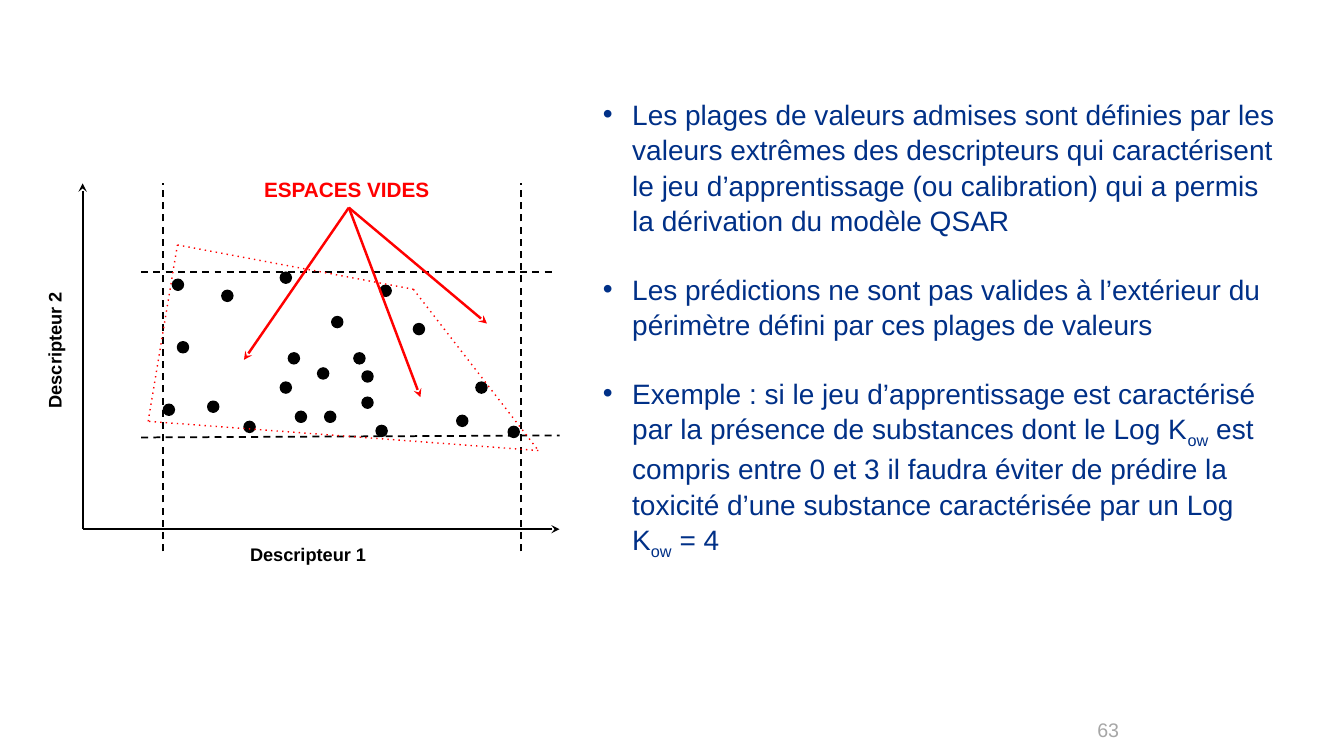
from typing import NamedTuple, Optional

from pptx import Presentation
from pptx.dml.color import RGBColor
from pptx.enum.shapes import MSO_CONNECTOR, MSO_SHAPE
from pptx.enum.text import MSO_ANCHOR, PP_ALIGN
from pptx.oxml.ns import qn
from pptx.util import Pt
from lxml.etree import SubElement

PX = 9144  # 100 px to the inch
FONT = "Arial"
BLACK = RGBColor(0x00, 0x00, 0x00)
RED = RGBColor(0xFF, 0x00, 0x00)
NAVY = RGBColor(0x00, 0x30, 0x87)
GREY = RGBColor(0xA6, 0xA6, 0xA6)
DOT_SIZE = 11


class Stroke(NamedTuple):
    color: RGBColor
    width: float
    dash: Optional[str] = None
    arrow: bool = False


class Line(NamedTuple):
    x1: int
    y1: int
    x2: int
    y2: int


class Label(NamedTuple):
    text: str
    x: int
    y: int
    w: int
    h: int
    size: float
    color: RGBColor
    rotation: int = 0


AXIS = Stroke(BLACK, 1.5, arrow=True)
LIMIT = Stroke(BLACK, 1.25, dash="dash")
POINTER = Stroke(RED, 1.75, arrow=True)
HULL = Stroke(RED, 1, dash="dot")

AXES = [Line(82, 525, 82, 182), Line(82, 525, 555, 525)]
LIMITS = [
    Line(162, 547, 162, 182),
    Line(517, 547, 517, 182),
    Line(140, 270, 548, 270),
    Line(140, 434, 555, 432),
]
HULL_CORNERS = [(147, 418), (176, 243), (410, 287), (534, 447)]
POINTER_TIPS = [(242, 357), (417, 394), (483, 321)]
SUBSTANCES = [
    (472, 379), (286, 350), (293, 408), (329, 314), (359, 394), (373, 422),
    (351, 350), (359, 368), (410, 321), (278, 270), (278, 379), (322, 408),
    (220, 288), (162, 401), (504, 423), (315, 365), (242, 418), (206, 398),
    (176, 339), (171, 277), (377, 283), (453, 412),
]
AXIS_LABELS = [
    Label("Descripteur 1", 235, 532, 143, 35, 13, BLACK),
    Label("Descripteur 2", -18, 329, 143, 35, 13, BLACK, 270),
]
EMPTY_SPACES = Label("ESPACES VIDES", 249, 168, 194, 38, 14.8, RED)

# Each bullet alternates normal text and subscript.
BULLETS = [
    ["Les plages de valeurs admises sont définies par les valeurs extrêmes des "
     "descripteurs qui caractérisent le jeu d’apprentissage (ou calibration) "
     "qui a permis la dérivation du modèle QSAR"],
    ["Les prédictions ne sont pas valides à l’extérieur du périmètre défini "
     "par ces plages de valeurs"],
    ["Exemple : si le jeu d’apprentissage est caractérisé par la présence de "
     "substances dont le Log K", "ow",
     " est compris entre 0 et 3 il faudra éviter de prédire la toxicité d’une "
     "substance caractérisée par un Log K", "ow", " = 4"],
]


def add_line(slide, line: Line, stroke: Stroke):
    cx = slide.shapes.add_connector(
        MSO_CONNECTOR.STRAIGHT, *(v * PX for v in line))
    cx.line.color.rgb = stroke.color
    cx.line.width = Pt(stroke.width)
    spPr = cx._element.spPr
    ln = spPr.find(qn("a:ln"))
    if stroke.dash:
        SubElement(ln, qn("a:prstDash"), val=stroke.dash)
    if stroke.arrow:
        SubElement(ln, qn("a:tailEnd"), type="stealth")
    SubElement(spPr, qn("a:effectLst"))
    return cx


def add_dot(slide, x: int, y: int) -> None:
    sp = slide.shapes.add_shape(
        MSO_SHAPE.FLOWCHART_CONNECTOR, x * PX, y * PX, DOT_SIZE * PX, DOT_SIZE * PX)
    sp.shadow.inherit = False
    sp.fill.solid()
    sp.fill.fore_color.rgb = BLACK
    sp.line.color.rgb = BLACK
    sp.line.width = Pt(1)


def add_box(slide, x: int, y: int, w: int, h: int, inset_x: int = 13, inset_y: int = 7):
    sp = slide.shapes.add_textbox(x * PX, y * PX, w * PX, h * PX)
    tf = sp.text_frame
    tf.margin_left = tf.margin_right = inset_x * PX
    tf.margin_top = tf.margin_bottom = inset_y * PX
    return sp


def style_run(r, size: float, color: RGBColor, bold: bool = False) -> None:
    r.font.name = FONT
    r.font.size = Pt(size)
    r.font.color.rgb = color
    r.font.bold = bold


def add_label(slide, label: Label):
    sp = add_box(slide, label.x, label.y, label.w, label.h)
    sp.rotation = label.rotation
    sp.text_frame.word_wrap = False
    sp.text_frame.text = label.text
    style_run(sp.text_frame.paragraphs[0].runs[0], label.size, label.color, True)
    return sp


def set_bullet(p) -> None:
    pPr = p._p.get_or_add_pPr()
    pPr.set("marL", str(29 * PX))
    pPr.set("indent", str(-29 * PX))
    color = SubElement(pPr, qn("a:buClr"))
    SubElement(color, qn("a:srgbClr"), val=str(NAVY))
    SubElement(pPr, qn("a:buFont"), typeface=FONT)
    SubElement(pPr, qn("a:buChar"), char="•")


def add_explanation(slide) -> None:
    tf = add_box(slide, 585, 88, 699, 451).text_frame
    tf.word_wrap = True
    for i, parts in enumerate(BULLETS):
        p = tf.add_paragraph() if i else tf.paragraphs[0]
        set_bullet(p)
        p.line_spacing = 1.05
        if i:
            p.space_before = Pt(24)
        for k, part in enumerate(parts):
            r = p.add_run()
            r.text = part
            style_run(r, 20, NAVY)
            if k % 2:
                r.font._element.set("baseline", "-25000")


def add_plot(slide) -> None:
    for axis in AXES:
        add_line(slide, axis, AXIS)
    for x, y in SUBSTANCES:
        add_dot(slide, x, y)
    for label in AXIS_LABELS:
        add_label(slide, label)
    for limit in LIMITS:
        add_line(slide, limit, LIMIT)
    title = add_label(slide, EMPTY_SPACES)
    for tip in POINTER_TIPS:
        pointer = add_line(slide, Line(346, 206, *tip), POINTER)
        pointer.begin_connect(title, 2)
    for start, end in zip(HULL_CORNERS, HULL_CORNERS[1:] + HULL_CORNERS[:1]):
        add_line(slide, Line(*start, *end), HULL)


def add_page_number(slide) -> None:
    tf = add_box(slide, 913, 698, 197, 52, 0, 0).text_frame
    tf.word_wrap = True
    tf.vertical_anchor = MSO_ANCHOR.MIDDLE
    tf.text = "63"
    p = tf.paragraphs[0]
    p.alignment = PP_ALIGN.RIGHT
    style_run(p.runs[0], 14, GREY)


def main() -> None:
    prs = Presentation()
    prs.slide_width, prs.slide_height = 1333 * PX, 750 * PX
    slide = prs.slides.add_slide(prs.slide_layouts[6])
    add_plot(slide)
    add_explanation(slide)
    add_page_number(slide)
    prs.save("out.pptx")


if __name__ == "__main__":
    main()
